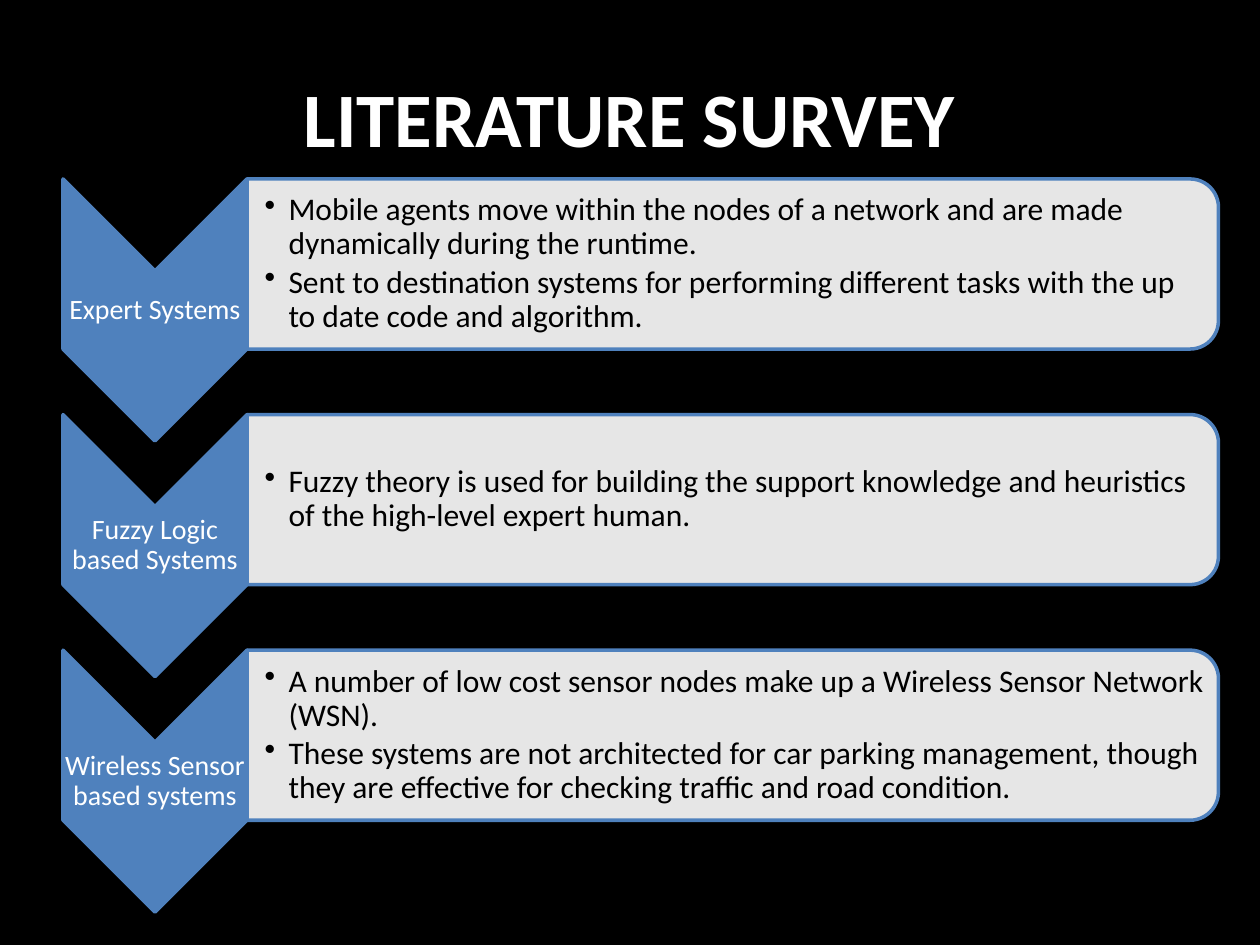
from pptx import Presentation
from pptx.dml.color import RGBColor
from pptx.enum.shapes import MSO_SHAPE as SHAPE
from pptx.enum.text import MSO_ANCHOR as ANCHOR, PP_ALIGN as ALIGN
from pptx.oxml.ns import qn
from pptx.util import Inches, Pt
from lxml.etree import SubElement

TITLE = "LITERATURE SURVEY"
TOPICS = [
    ("Expert Systems", [
        "Mobile agents move within the nodes of a network and are made dynamically during the runtime.",
        "Sent to destination systems for performing different tasks with the up to date code and algorithm.",
    ]),
    ("Fuzzy Logic based Systems", [
        "Fuzzy theory is used for building the support knowledge and heuristics of the high-level expert human.",
    ]),
    ("Wireless Sensor based systems", [
        "A number of low cost sensor nodes make up a Wireless Sensor Network (WSN).",
        "These systems are not architected for car parking management, though they are effective "
        "for checking traffic and road condition.",
    ]),
]
BLACK, WHITE, BLUE = "000000", "FFFFFF", "4F81BD"
LEFT, TOP, PITCH = 0.5, 1.42, 1.87
CHEVRON_W, CHEVRON_H = 1.46, 2.08
PANEL_W, PANEL_H = 7.71, 1.35
LABEL_H, LIST_W, LIST_H = 0.62, 7.64, 1.22
INSET, LIST_INSET, INDENT = 0.01, 0.14, 0.19


def color(hex_value):
    return RGBColor.from_string(hex_value)


def format_font(font, size, hex_value, bold=False):
    for name, value in {"name": "Calibri", "size": Pt(size), "bold": bold}.items():
        setattr(font, name, value)
    font.color.rgb = color(hex_value)


def add_turned_shape(slide, kind, left, top, width, height, fill, opacity=None):
    """Add a shape turned 90 degrees that covers the given area once turned."""
    shift = (width - height) / 2
    shape = slide.shapes.add_shape(kind, Inches(left + shift), Inches(top - shift),
                                   Inches(height), Inches(width))
    shape.rotation = 90
    shape.shadow.inherit = False
    shape.fill.solid()
    shape.fill.fore_color.rgb = color(fill)
    shape.line.color.rgb = color(BLUE)
    shape.line.width = Pt(2)
    if opacity is not None:
        fill_color = shape.fill._xPr.find(qn("a:solidFill"))[0]
        SubElement(fill_color, qn("a:alpha"), val=str(opacity * 1000))


def add_bullet(para):
    properties = para._p.get_or_add_pPr()
    properties.set("marL", str(Inches(INDENT)))
    properties.set("indent", str(-Inches(INDENT)))
    SubElement(properties, qn("a:buChar"), char="•")


def add_text(slide, area, lines, size, hex_value, left_inset=INSET, bulleted=False):
    frame = slide.shapes.add_textbox(*map(Inches, area)).text_frame
    settings = {"word_wrap": True, "vertical_anchor": ANCHOR.MIDDLE,
                "margin_left": Inches(left_inset), "margin_right": Inches(INSET),
                "margin_top": Inches(INSET), "margin_bottom": Inches(INSET)}
    for name, value in settings.items():
        setattr(frame, name, value)
    for index, line in enumerate(lines):
        para = frame.add_paragraph() if index else frame.paragraphs[0]
        para.text = line
        para.line_spacing = 0.9
        if bulleted:
            para.space_after = Pt(size * 0.15)
            add_bullet(para)
        else:
            para.alignment = ALIGN.CENTER
        format_font(para.font, size, hex_value)


def add_title(slide):
    title = slide.shapes.title
    title.left, title.top, title.width, title.height = map(Inches, (0.5, 0.3, 9, 1.25))
    title.text_frame.text = TITLE
    title.text_frame.vertical_anchor = ANCHOR.MIDDLE
    para = title.text_frame.paragraphs[0]
    para.alignment = ALIGN.CENTER
    format_font(para.font, 44, WHITE, bold=True)


def add_topic(slide, top, label, points):
    panel_left = LEFT + CHEVRON_W
    add_turned_shape(slide, SHAPE.CHEVRON, LEFT, top, CHEVRON_W, CHEVRON_H, BLUE)
    add_text(slide, (LEFT, top + CHEVRON_W / 2, CHEVRON_W, LABEL_H), [label], 16, WHITE)
    add_turned_shape(slide, SHAPE.ROUND_2_SAME_RECTANGLE, panel_left, top,
                     PANEL_W, PANEL_H, WHITE, opacity=90)
    add_text(slide, (panel_left, top + (PANEL_H - LIST_H) / 2, LIST_W, LIST_H),
             points, 18, BLACK, LIST_INSET, bulleted=True)


def main():
    deck = Presentation()
    deck.slide_width, deck.slide_height = Inches(10), Inches(7.5)
    slide = deck.slides.add_slide(deck.slide_layouts[5])
    slide.background.fill.solid()
    slide.background.fill.fore_color.rgb = color(BLACK)
    add_title(slide)
    for row, (label, points) in enumerate(TOPICS):
        add_topic(slide, TOP + row * PITCH, label, points)
    deck.save("out.pptx")


if __name__ == "__main__":
    main()
